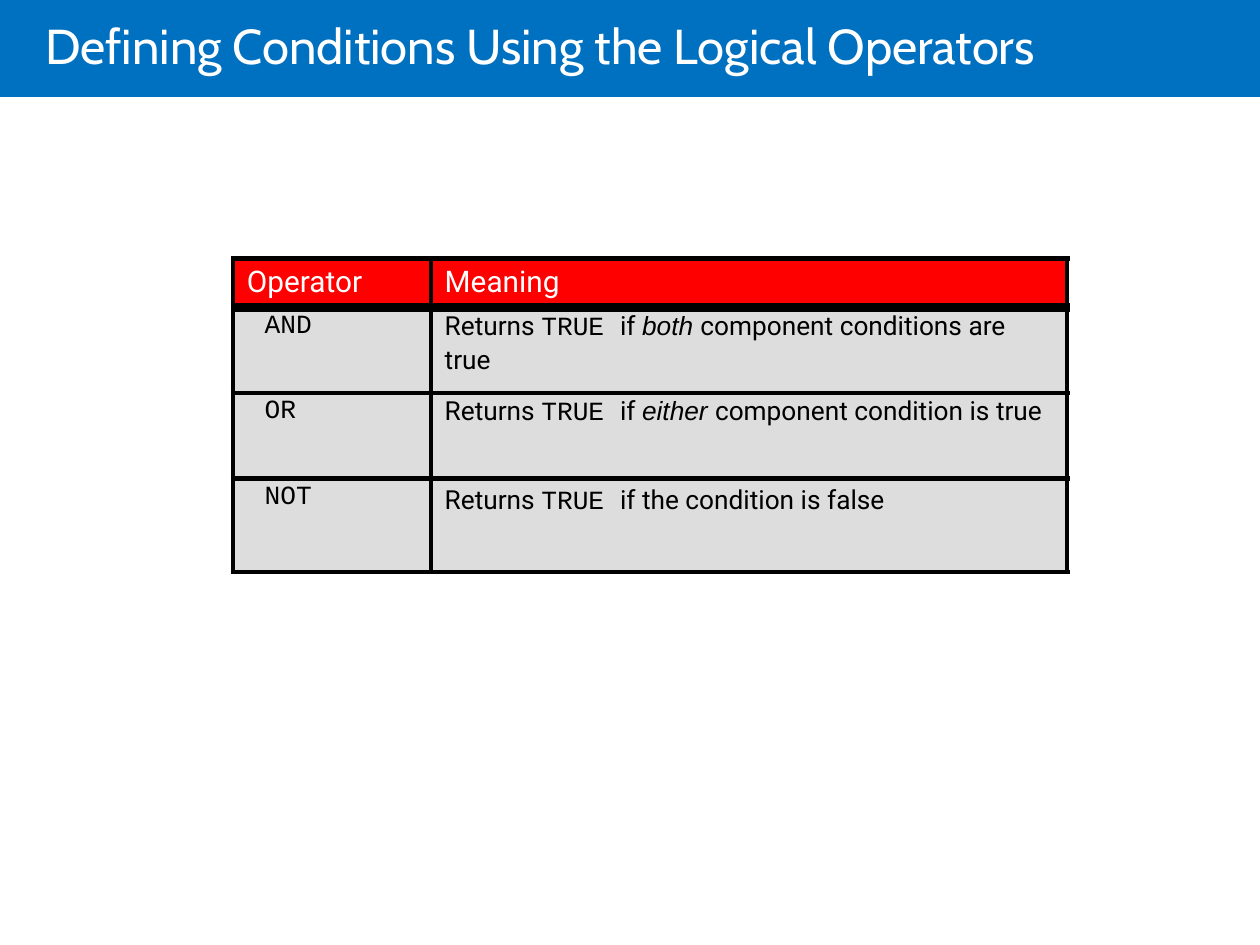
from lxml import etree
from pptx import Presentation
from pptx.dml.color import RGBColor
from pptx.enum.shapes import MSO_SHAPE
from pptx.enum.text import MSO_ANCHOR, PP_ALIGN
from pptx.oxml.ns import qn
from pptx.util import Inches, Pt

RECTANGLE = MSO_SHAPE.RECTANGLE
MIDDLE, TOP = MSO_ANCHOR.MIDDLE, MSO_ANCHOR.TOP
LEFT = PP_ALIGN.LEFT
TITLE_ONLY = 5

SLIDE_WIDTH, SLIDE_HEIGHT = 10, 7.5
BLUE, RED, GREY, BLACK, WHITE = "0070C0", "FF0000", "DDDDDD", "000000", "FFFFFF"
TITLE_FONT, BODY_FONT, CODE_FONT, ITALIC_FONT = "Cabin", "Roboto", "Courier New", "Arial"
TITLE_SIZE, HEADER_SIZE, BODY_SIZE = 28, 17, 15
THIN, THICK = 3, 6

COLUMN_WIDTHS = [1.57, 5.05]
ROW_HEIGHTS = [0.39, 0.68, 0.68, 0.74]
HEADERS = ["Operator", "Meaning"]
# Operator, emphasised word, rest of the meaning, top inset, line spacing
OPERATORS = [
    ("AND", "both ", "component conditions are true", 0.01, 1.07),
    ("OR", "either ", "component condition is true", 0.01, 1.07),
    ("NOT", "", "the condition is false", 0.05, 1.0),
]


def rgb(value):
    return RGBColor.from_string(value)


class SlideBuilder:
    """Holds the deck, its one slide and the style of its elements."""

    def __init__(self):
        self.deck = Presentation()
        self.deck.slide_width = Inches(SLIDE_WIDTH)
        self.deck.slide_height = Inches(SLIDE_HEIGHT)
        self.page = self.deck.slides.add_slide(self.deck.slide_layouts[TITLE_ONLY])

    def area(self, left, top, width, height):
        """Turn shares of the slide's size into lengths."""
        across, down = self.deck.slide_width, self.deck.slide_height
        return [round(share * side) for share, side in
                zip((left, top, width, height), (across, down, across, down))]

    def band(self, left, top, width, height, color):
        """Draw a plain rectangle behind everything else."""
        box = self.page.shapes.add_shape(RECTANGLE, *self.area(left, top, width, height))
        box.shadow.inherit = False
        box.fill.solid()
        box.fill.fore_color.rgb = rgb(color)
        box.line.fill.background()
        self.page.shapes.element.insert(2, box.element)

    def title(self, text, left, top, width, height):
        box = self.page.shapes.title
        box.left, box.top, box.width, box.height = self.area(left, top, width, height)
        frame = box.text_frame
        frame.margin_left = frame.margin_right = frame.margin_top = frame.margin_bottom = 0
        frame.vertical_anchor = MIDDLE
        frame.text = text
        para = frame.paragraphs[0]
        para.alignment = LEFT
        self.style(para.font, TITLE_FONT, TITLE_SIZE, WHITE)

    def style(self, font, name, size, color):
        font.name, font.size, font.color.rgb = name, Pt(size), rgb(color)

    def table(self, left, top):
        width = sum(COLUMN_WIDTHS) / SLIDE_WIDTH
        height = sum(ROW_HEIGHTS) / SLIDE_HEIGHT
        table = self.page.shapes.add_table(
            len(ROW_HEIGHTS), len(COLUMN_WIDTHS), *self.area(left, top, width, height)).table
        for column, size in zip(table.columns, COLUMN_WIDTHS):
            column.width = Inches(size)
        for row, size in zip(table.rows, ROW_HEIGHTS):
            row.height = Inches(size)
        return table

    def borders(self, cell, top, bottom):
        properties = cell._tc.get_or_add_tcPr()
        for side, points in (("lnL", THIN), ("lnR", THIN), ("lnT", top), ("lnB", bottom)):
            line = etree.SubElement(properties, qn(f"a:{side}"), w=str(Pt(points)))
            fill = etree.SubElement(line, qn("a:solidFill"))
            etree.SubElement(fill, qn("a:srgbClr"), val=BLACK)

    def cell(self, cell, pieces, size, color, fill, inset, edges=(THIN, THIN), spacing=1.0):
        """Fill a cell with (text, font name) pieces; inset is its left and top margin."""
        self.borders(cell, *edges)
        cell.fill.solid()
        cell.fill.fore_color.rgb = rgb(fill)
        cell.margin_left, cell.margin_top = map(Inches, inset)
        cell.margin_right, cell.margin_bottom = Inches(0.1), 0
        cell.vertical_anchor = TOP
        para = cell.text_frame.paragraphs[0]
        para.line_spacing = spacing
        for text, name in pieces:
            span = para.add_run()
            span.text = text
            self.style(span.font, name, size, color)
            if name == ITALIC_FONT:
                span.font.italic = True


def main():
    builder = SlideBuilder()
    builder.band(0, 0, 1, 0.77 / SLIDE_HEIGHT, BLUE)
    builder.title("Defining Conditions Using the Logical Operators",
                  0.036, 0.12 / SLIDE_HEIGHT, 0.936, 0.48 / SLIDE_HEIGHT)

    table = builder.table(1.85 / SLIDE_WIDTH, 2.05 / SLIDE_HEIGHT)
    for column, header in enumerate(HEADERS):
        builder.cell(table.cell(0, column), [(header, BODY_FONT)], HEADER_SIZE, WHITE, RED,
                     (0.11, 0.05), (THIN, THICK))
    for row, (operator, emphasis, rest, inset, spacing) in enumerate(OPERATORS, start=1):
        edges = (THICK if row == 1 else THIN, THIN)
        meaning = [("Returns ", BODY_FONT), ("TRUE ", CODE_FONT), ("if ", BODY_FONT),
                   (emphasis, ITALIC_FONT), (rest, BODY_FONT)]
        builder.cell(table.cell(row, 0), [(operator, CODE_FONT)], BODY_SIZE, BLACK, GREY,
                     (0.25, 0.03), edges)
        builder.cell(table.cell(row, 1), [piece for piece in meaning if piece[0]],
                     BODY_SIZE, BLACK, GREY, (0.11, inset), edges, spacing)

    builder.deck.save("out.pptx")


if __name__ == "__main__":
    main()
